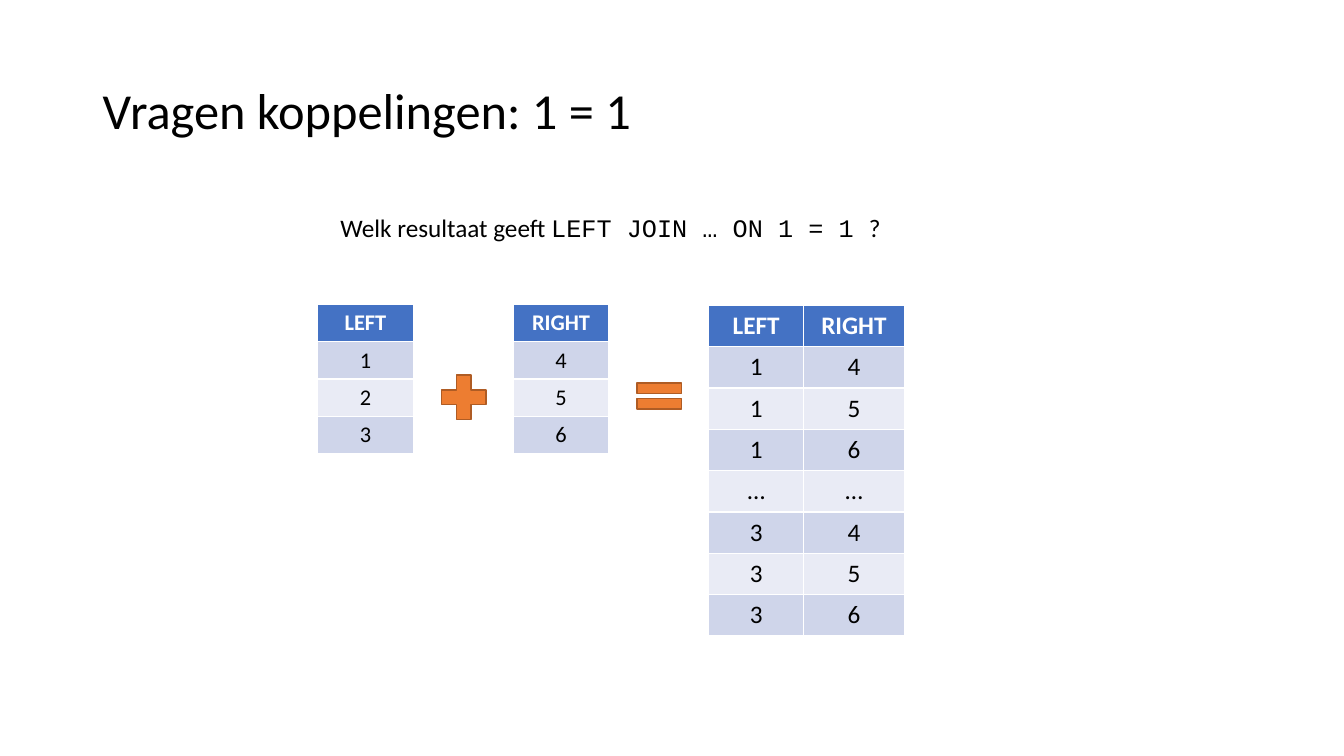
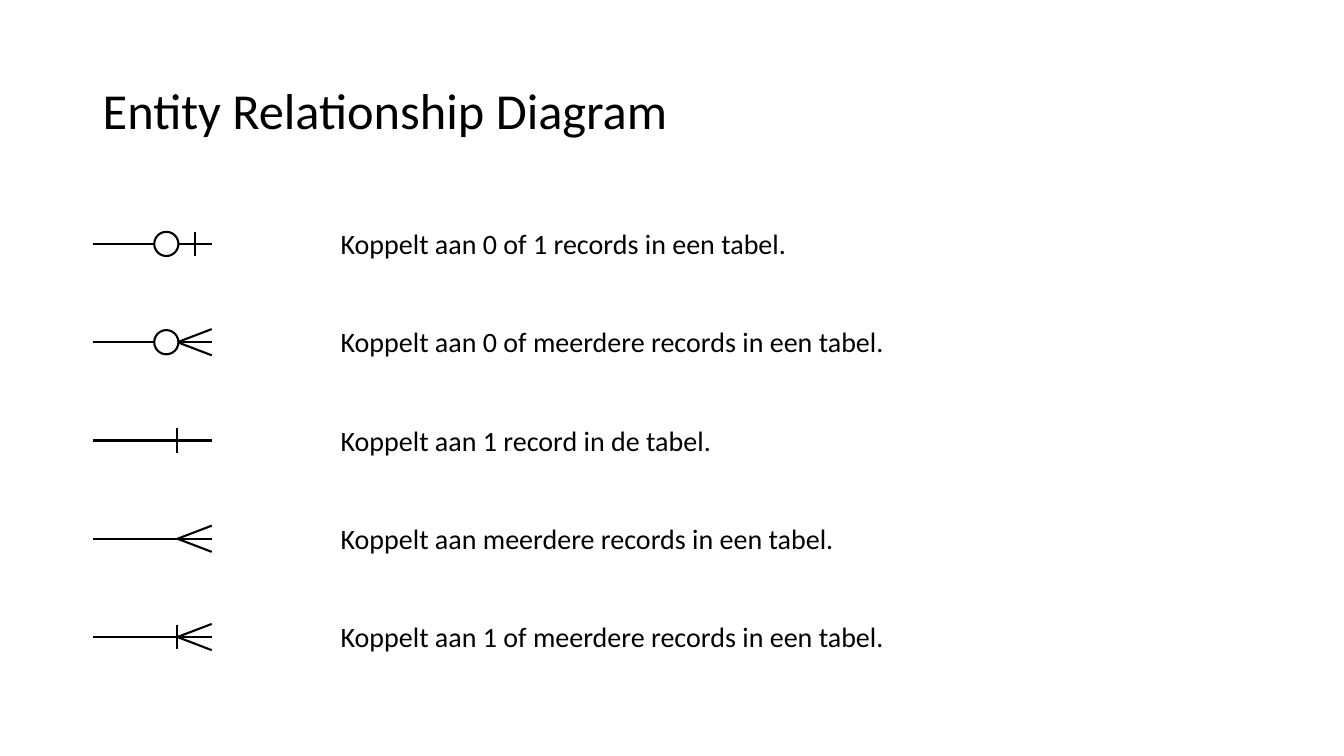
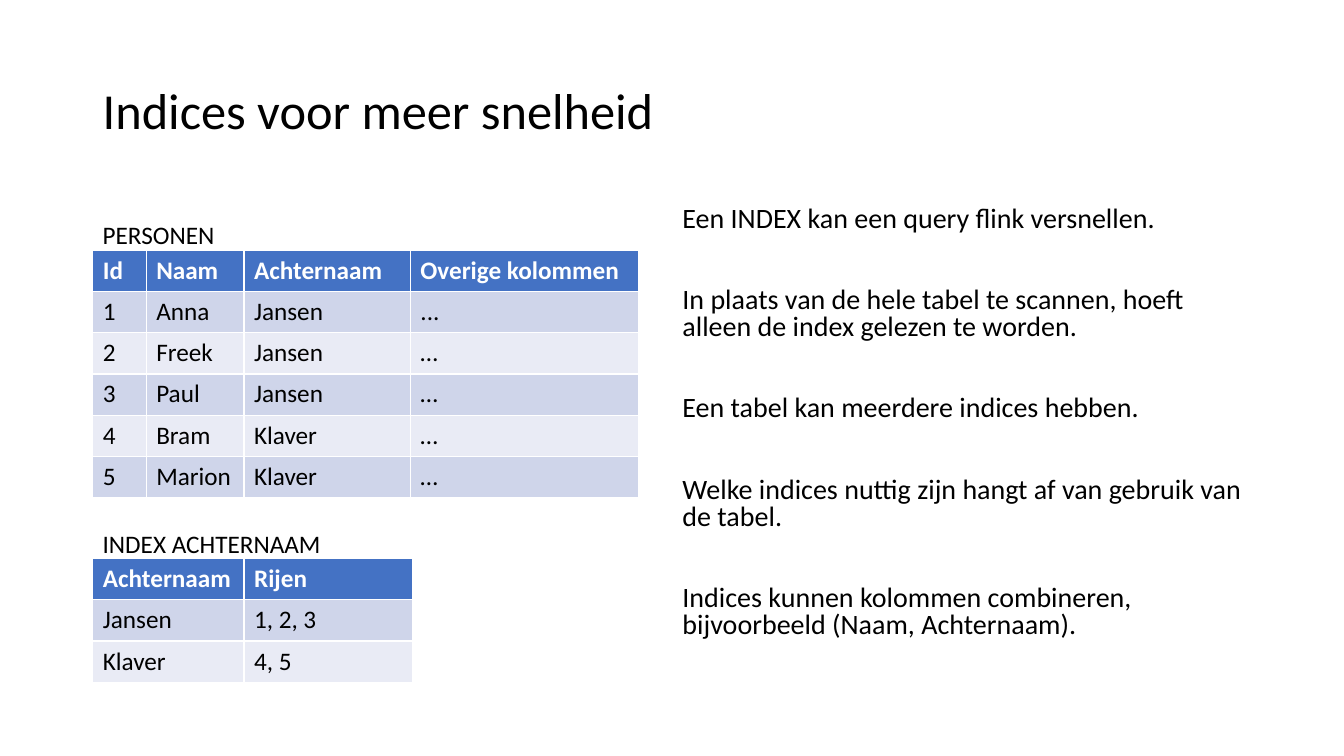
import pptx
import pptx.util
import pptx.dml.color
import pptx.enum.shapes
import pptx.enum.text
import lxml.etree

Inches = pptx.util.Inches
Pt = pptx.util.Pt
rgb = pptx.dml.color.RGBColor.from_string
SHAPE = pptx.enum.shapes.MSO_SHAPE
ALIGN = pptx.enum.text.PP_ALIGN

FONT = "Calibri"
BLACK, WHITE = "000000", "FFFFFF"
HEADER, BAND_DARK, BAND_LIGHT = "4472C4", "CFD5EA", "E9EBF5"
SYMBOL, SYMBOL_EDGE = "ED7D31", "AF5C24"
MARGIN = 0.92


def add_text(slide, at, paragraphs, size, **paragraph_format):
    """Add a wrapping text box; each paragraph is a list of (text, font name) runs."""
    frame = slide.shapes.add_textbox(*map(Inches, at)).text_frame
    frame.word_wrap = True
    for index, runs in enumerate(paragraphs):
        paragraph = frame.paragraphs[0] if index == 0 else frame.add_paragraph()
        for attribute, value in paragraph_format.items():
            if index > 0 or attribute != "space_before":
                setattr(paragraph, attribute, value)
        for text, font_name in runs:
            run = paragraph.add_run()
            run.text = text
            run.font.name = font_name
            run.font.size = Pt(size)
            run.font.color.rgb = rgb(BLACK)
    return frame


def add_data_table(slide, left, top, widths, row_height, rows, size=18, align=ALIGN.LEFT):
    """Add a table with a blue header row and banded rows below it."""
    table = slide.shapes.add_table(
        len(rows), len(widths), Inches(left), Inches(top),
        Inches(sum(widths)), Inches(row_height * len(rows))).table
    for column, width in zip(table.columns, widths):
        column.width = Inches(width)
    for r, row in enumerate(rows):
        fill = HEADER if r == 0 else BAND_DARK if r % 2 else BAND_LIGHT
        for c, text in enumerate(row):
            cell = table.cell(r, c)
            cell.fill.solid()
            cell.fill.fore_color.rgb = rgb(fill)
            cell.text = text
            paragraph = cell.text_frame.paragraphs[0]
            paragraph.alignment = align
            font = paragraph.runs[0].font
            font.name, font.size, font.bold = FONT, Pt(size), r == 0
            font.color.rgb = rgb(BLACK if r else WHITE)


prs = pptx.Presentation()
prs.slide_width, prs.slide_height = Inches(13.33), Inches(7.5)

slides = []
for title in ("Vragen koppelingen: 1 = 1", "Entity Relationship Diagram",
              "Indices voor meer snelheid"):
    slide = prs.slides.add_slide(prs.slide_layouts[6])
    title_frame = add_text(slide, (MARGIN, 0.4, 11.5, 1.45), [[(title, FONT)]], 36,
                           line_spacing=0.9)
    title_frame.vertical_anchor = pptx.enum.text.MSO_ANCHOR.MIDDLE
    slides.append(slide)
join_slide, erd_slide, index_slide = slides

# Join on 1 = 1
question = add_text(
    join_slide, (3.15, 2.06, 5.81, 0.4),
    [[("Welk resultaat geeft ", FONT), ("LEFT JOIN … ON 1 = 1 ", "Courier New"), ("?", FONT)]],
    18, alignment=ALIGN.CENTER)
question.margin_left = question.margin_right = 0

for left, column in ((3.15, ["LEFT", "1", "2", "3"]), (5.09, ["RIGHT", "4", "5", "6"])):
    add_data_table(join_slide, left, 3.02, [0.95], 0.37, [[text] for text in column],
                   16, ALIGN.CENTER)
add_data_table(
    join_slide, 7.03, 3.03, [0.94, 1], 0.41,
    [("LEFT", "RIGHT"), ("1", "4"), ("1", "5"), ("1", "6"), ("…", "…"),
     ("3", "4"), ("3", "5"), ("3", "6")],
    align=ALIGN.CENTER)

for kind, at in ((SHAPE.MATH_PLUS, (4.3, 3.64, 0.6, 0.6)),
                 (SHAPE.MATH_EQUAL, (6.24, 3.71, 0.6, 0.44))):
    operator = join_slide.shapes.add_shape(kind, *map(Inches, at))
    operator.shadow.inherit = False
    operator.fill.solid()
    operator.fill.fore_color.rgb = rgb(SYMBOL)
    operator.line.color.rgb = rgb(SYMBOL_EDGE)
    operator.line.width = Pt(1)

# Relationship notation: meaning, circle, position of the bar, crow's foot
LINE_END, FORK = 2.1, 1.76
relations = [
    ("Koppelt aan 0 of 1 records in een tabel.", True, 1.93, False),
    ("Koppelt aan 0 of meerdere records in een tabel.", True, None, True),
    ("Koppelt aan 1 record in de tabel.", False, FORK, False),
    ("Koppelt aan meerdere records in een tabel.", False, None, True),
    ("Koppelt aan 1 of meerdere records in een tabel.", False, FORK, True),
]
for index, (meaning, has_circle, bar, has_foot) in enumerate(relations):
    y = 2.42 + 0.975 * index
    strokes = [(MARGIN, y, LINE_END, y)]
    if bar:
        strokes.append((bar, y - 0.12, bar, y + 0.12))
    if has_foot:
        strokes += [(FORK, y, LINE_END, y + rise) for rise in (-0.13, 0.13)]
    for ends in strokes:
        stroke = erd_slide.shapes.add_connector(
            pptx.enum.shapes.MSO_CONNECTOR.STRAIGHT, *map(Inches, ends))
        stroke.line.color.rgb = rgb(BLACK)
        stroke.line.width = Pt(1.5)
        lxml.etree.SubElement(stroke._element.spPr, pptx.oxml.ns.qn("a:effectLst"))
    if has_circle:
        circle = erd_slide.shapes.add_shape(
            SHAPE.OVAL, Inches(1.53), Inches(y - 0.12), Inches(0.24), Inches(0.24))
        circle.shadow.inherit = False
        circle.fill.solid()
        circle.fill.fore_color.rgb = rgb(WHITE)
        circle.line.color.rgb = rgb(BLACK)
        circle.line.width = Pt(1.5)
    add_text(erd_slide, (3.28, y - 0.22, 5.8, 0.44), [[(meaning, FONT)]], 20)

# Indices
remarks = [
    "Een INDEX kan een query flink versnellen.",
    "In plaats van de hele tabel te scannen, hoeft alleen de index gelezen te worden.",
    "Een tabel kan meerdere indices hebben.",
    "Welke indices nuttig zijn hangt af van gebruik van de tabel.",
    "Indices kunnen kolommen combineren, bijvoorbeeld (Naam, Achternaam).",
]
add_text(index_slide, (6.67, 2, 5.75, 4.76), [[(remark, FONT)] for remark in remarks], 20,
         line_spacing=0.8, space_before=Pt(39))

people = [
    ("Id", "Naam", "Achternaam", "Overige kolommen"),
    ("1", "Anna", "Jansen", "..."),
    ("2", "Freek", "Jansen", "…"),
    ("3", "Paul", "Jansen", "…"),
    ("4", "Bram", "Klaver", "…"),
    ("5", "Marion", "Klaver", "…"),
]
surname_index = [("Achternaam", "Rijen"), ("Jansen", "1, 2, 3"), ("Klaver", "4, 5")]
for caption, top, widths, rows in (
        ("PERSONEN", 2.48, [0.53, 0.97, 1.65, 2.26], people),
        ("INDEX ACHTERNAAM", 5.54, [1.5, 1.67], surname_index)):
    add_data_table(index_slide, MARGIN, top, widths, 0.41, rows)
    add_text(index_slide, (MARGIN, top - 0.35, 2.6, 0.4), [[(caption, FONT)]], 18)

prs.save("out.pptx")
